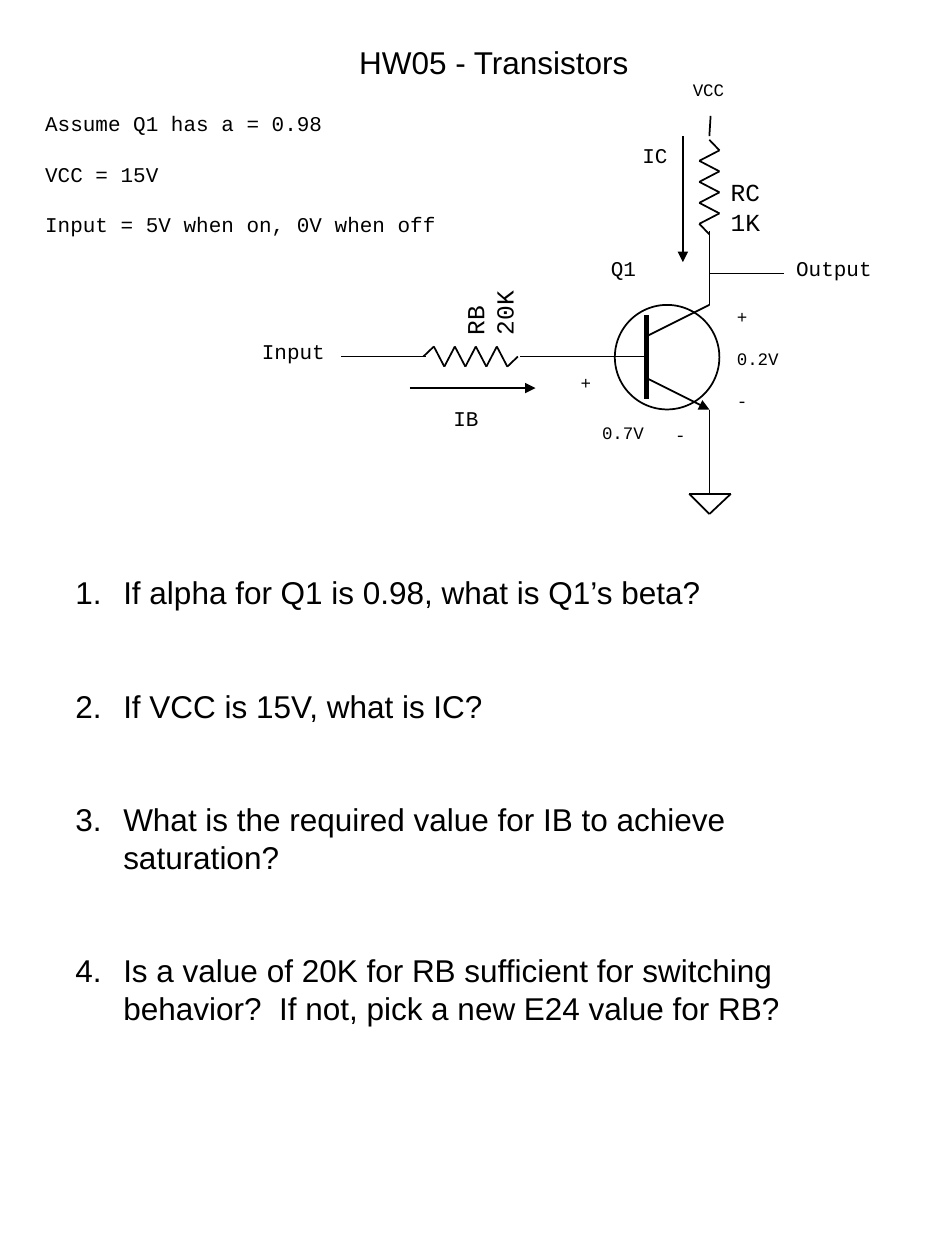
from itertools import pairwise

from lxml import etree
from pptx import Presentation
from pptx.dml.color import RGBColor
from pptx.enum.shapes import MSO_CONNECTOR as CONN, MSO_SHAPE as SHAPE
from pptx.enum.text import MSO_ANCHOR as ANCHOR, PP_ALIGN as ALIGN
from pptx.oxml.ns import qn
from pptx.util import Inches, Pt

THEME = {
    "ink": RGBColor(0, 0, 0),
    "sans": "Arial", "mono": "Courier New",
    "heading": 18, "part": 14, "label": 12, "small": 10,
    "wire": 1, "arrow": 0.75, "base": 3,
    "leading": 1.2,
}

# Content
TITLE = "HW05 - Transistors"
QUESTIONS = [
    "If alpha for Q1 is 0.98, what is Q1’s beta?",
    "If VCC is 15V, what is IC?",
    "What is the required value for IB to achieve saturation?",
    "Is a value of 20K for RB sufficient for switching behavior?  "
    "If not, pick a new E24 value for RB?",
]
ASSUMPTIONS = ["Assume Q1 has a = 0.98", "VCC = 15V",
               "Input = 5V when on, 0V when off"]
COLLECTOR_EMITTER = ["+", "0.2V", "-"]
LABELS = [  # text, size, left, top, width, height
    ("VCC", "small", 5.4, 0.58, 0.45, 0.27),
    ("Output", "label", 6.22, 1.98, 0.8, 0.3),
    ("Input", "label", 1.98, 2.64, 0.7, 0.3),
    ("0.7V", "small", 4.68, 3.3, 0.53, 0.27),
    ("+", "small", 4.51, 2.9, 0.28, 0.27),
    ("-", "small", 5.26, 3.32, 0.28, 0.27),
    ("Q1", "label", 4.75, 1.98, 0.4, 0.3),
    ("IB", "label", 3.5, 3.17, 0.4, 0.3),
    ("IC", "label", 5, 1.08, 0.4, 0.3),
]

# Circuit axes: X is the collector-emitter column, Y the base row
X, Y, BASE = 5.63, 2.83, 5.13
WIRES = [
    ((X, 3.92), (X, 3.5)),
    ((4.63, Y), (4.13, Y)),
    ((3.38, Y), (2.71, Y)),
    ((X, 2.17), (X, 1.83)),
    ((X, 1.08), (5.64, 0.92)),
    ((X, 2.17), (6.22, 2.17)),
]
TRANSISTOR_WIRES = [
    ((BASE, 2.67), (X, 2.42)),
    ((X, 3.25), (X, 3.5)),
    ((4.63, Y), (BASE, Y)),
    ((X, 2.17), (X, 2.42)),
]
GROUND = [(5.47, 3.92), (5.8, 3.92), (X, 4.08), (5.47, 3.92)]
CURRENTS = [((3.25, 3.08), (4.25, 3.08)), ((5.42, 1.08), (5.42, 2.08))]
ZIGZAG_LENGTH, ZIGZAG_SWING, ZIGZAG_STEPS = 0.75, 0.08, 9


def write(sp, text, size="label", font="mono", gap=0, wrap=False, numbered=False):
    """Fill a shape with one paragraph per item of text."""
    tf = sp.text_frame
    tf.word_wrap = wrap
    tf.vertical_anchor = ANCHOR.TOP
    items = [text] if isinstance(text, str) else text
    for i, item in enumerate(items):
        p = tf.paragraphs[0] if i == 0 else tf.add_paragraph()
        p.alignment = ALIGN.LEFT
        p.line_spacing = Pt(THEME[size] * THEME["leading"])
        p.space_before = Pt(0)
        p.space_after = Pt(gap * THEME[size] * THEME["leading"])
        r = p.add_run()
        r.text = item
        r.font.size = Pt(THEME[size])
        r.font.name = THEME[font]
        r.font.color.rgb = THEME["ink"]
        if numbered:
            pPr = p._p.get_or_add_pPr()
            pPr.set("marL", str(Inches(0.38)))
            pPr.set("indent", str(-Inches(0.38)))
            etree.SubElement(pPr, qn("a:buAutoNum"), type="arabicPeriod")


def add_text(shapes, text, left, top, width, height, **fmt):
    sp = shapes.add_textbox(*map(Inches, (left, top, width, height)))
    write(sp, text, **fmt)
    return sp


def add_line(shapes, start, end, weight="wire", arrow=False):
    sp = shapes.add_connector(CONN.STRAIGHT, *map(Inches, (*start, *end)))
    sp.line.color.rgb = THEME["ink"]
    sp.line.width = Pt(THEME[weight])
    if arrow:
        etree.SubElement(sp.line._get_or_add_ln(), qn("a:tailEnd"), type="triangle")
    etree.SubElement(sp._element.spPr, qn("a:effectLst"))


def add_path(shapes, points):
    for start, end in pairwise(points):
        add_line(shapes, start, end)


def zigzag(x, y, vertical):
    """Points of a resistor that starts at x, y."""
    points = []
    for i in range(ZIGZAG_STEPS + 1):
        along = i * ZIGZAG_LENGTH / ZIGZAG_STEPS
        across = 0 if i in (0, ZIGZAG_STEPS) else ZIGZAG_SWING * (-1) ** i
        points.append((x - across, y + along) if vertical else (x + along, y + across))
    return points


def main():
    prs = Presentation()
    prs.slide_width, prs.slide_height = Inches(7.5), Inches(10)
    slide = prs.slides.add_slide(prs.slide_layouts[5])
    shapes = slide.shapes

    # Title and questions
    title = shapes.title
    title.left, title.top, title.width, title.height = map(Inches, (2.75, 0.29, 2.35, 0.4))
    write(title, TITLE, size="heading", font="sans")
    add_text(shapes, QUESTIONS, 0.5, 4.5, 6.25, 4.3, size="heading", font="sans",
             gap=2, wrap=True, numbered=True)

    # Transistor
    q1 = shapes.add_group_shape().shapes
    body = q1.add_shape(SHAPE.OVAL, *map(Inches, (4.88, 2.42, 0.83, 0.83)))
    body.shadow.inherit = False
    body.fill.background()
    body.line.color.rgb = THEME["ink"]
    body.line.width = Pt(THEME["wire"])
    add_line(q1, (BASE, 2.5), (BASE, 3.17), weight="base")
    add_line(q1, (BASE, 3), (X, 3.25), arrow=True)
    for wire in TRANSISTOR_WIRES:
        add_line(q1, *wire)

    # Resistors with their values
    rb = shapes.add_group_shape().shapes
    add_path(rb, zigzag(3.36, Y, vertical=False))
    value = add_text(rb, ["RB", "20K"], 3.61, 2.2, 0.55, 0.57, size="part")
    value.rotation = 270
    rc = shapes.add_group_shape().shapes
    add_path(rc, zigzag(X, 1.11, vertical=True))
    add_text(rc, ["RC", "1K"], 5.7, 1.36, 0.44, 0.57, size="part")

    # Wires, ground and current arrows
    for wire in WIRES:
        add_line(shapes, *wire)
    add_path(shapes, GROUND)
    for current in CURRENTS:
        add_line(shapes, *current, weight="arrow", arrow=True)

    # Labels and assumptions
    for text, size, *place in LABELS:
        add_text(shapes, text, *place, size=size)
    add_text(shapes, COLLECTOR_EMITTER, 5.75, 2.38, 0.53, 0.94, size="small", gap=1)
    add_text(shapes, ASSUMPTIONS, 0.26, 0.83, 3.3, 1.1, gap=1)

    prs.save("out.pptx")


if __name__ == "__main__":
    main()
